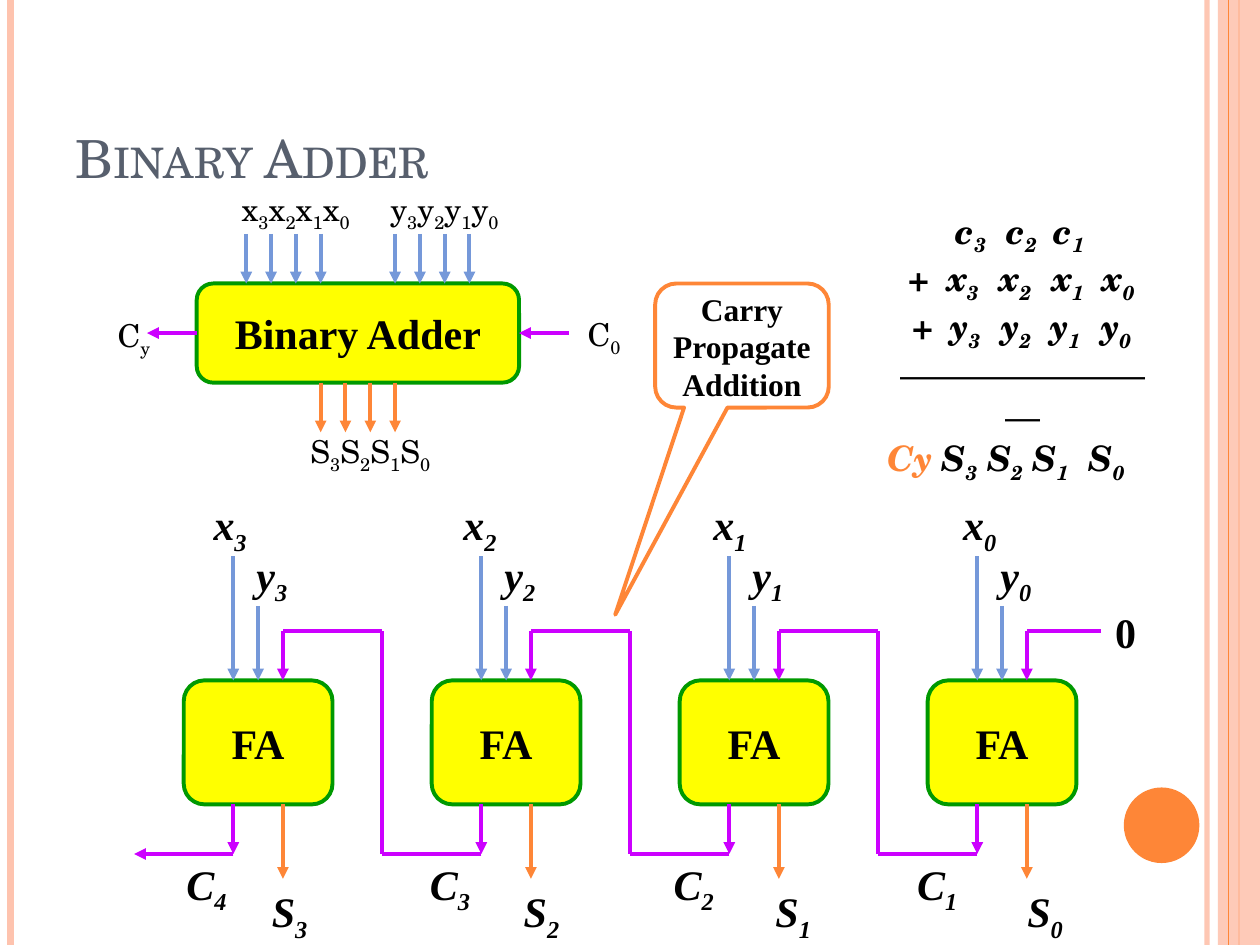
import pptx
import pptx.dml.color
import pptx.enum.shapes
import pptx.enum.text
import pptx.oxml
import pptx.oxml.ns
import pptx.util

SHAPES = pptx.enum.shapes.MSO_SHAPE
ALIGN = pptx.enum.text.PP_ALIGN
ANCHOR = pptx.enum.text.MSO_ANCHOR
Pt = pptx.util.Pt

STEP = 14.17
BLACK, YELLOW, GREEN = "000000", "FFFF00", "009900"
BLUE, PURPLE, ORANGE, PINK = "7598D9", "CC00FF", "FE8637", "FEC3AE"
SERIF, SCHOOL = "Times New Roman", "TeX Gyre Schola"

BOX_FONT = {"name": SERIF, "size": Pt(24), "bold": True}
LABEL_FONT = {**BOX_FONT, "italic": True}
CALLOUT_FONT = {**BOX_FONT, "size": Pt(18)}
PORT_FONT = {"name": SCHOOL, "size": Pt(18)}
SUM_FONT = {"name": SCHOOL, "size": Pt(20), "bold": True, "italic": True}
TITLE_FONT = {"name": SCHOOL, "size": Pt(30)}


def rgb(value):
    """Turn a hex string into a colour."""
    return pptx.dml.color.RGBColor.from_string(value)


def apply_format(target, values):
    """Set every attribute named in the dict."""
    for name, value in values.items():
        setattr(target, name, value)


def append_xml(parent, tag, **attributes):
    """Append a drawing element with attributes and return it."""
    element = pptx.oxml.parse_xml(f"<a:{tag} {pptx.oxml.ns.nsdecls('a')}/>")
    for name, value in attributes.items():
        element.set(name, str(value))
    parent.append(element)
    return element


def set_opacity(shape, percent):
    """Make the colours of a shape partly transparent."""
    for colour in shape._element.spPr.iter(pptx.oxml.ns.qn("a:srgbClr")):
        append_xml(colour, "alpha", val=percent * 1000)


def add_runs(paragraph, text, font, colour=BLACK):
    """Add text in which an underscore lowers the next character."""
    first, *rest = text.split("_")
    pieces = [(first, 0)]
    for part in rest:
        pieces += [(part[0], -25000), (part[1:], 0)]
    for piece, baseline in pieces:
        if piece:
            run = paragraph.add_run()
            run.text = piece
            apply_format(run.font, font)
            run.font.color.rgb = rgb(colour)
            if baseline:
                run._r.get_or_add_rPr().set("baseline", str(baseline))


def prepare_frame(shape, anchor=ANCHOR.TOP):
    """Remove the insets of a shape's text and turn on wrapping."""
    frame = shape.text_frame
    margins = dict.fromkeys(["margin_left", "margin_top", "margin_right", "margin_bottom"], 0)
    apply_format(frame, {"word_wrap": True, "vertical_anchor": anchor, **margins})
    return frame


def add_label(slide, text, center, top, width, font):
    """Add a centred line of text around a horizontal position."""
    box = slide.shapes.add_textbox(Pt(center - width / 2), Pt(top), Pt(width), Pt(font["size"].pt * 1.2))
    paragraph = prepare_frame(box).paragraphs[0]
    paragraph.alignment = ALIGN.CENTER
    add_runs(paragraph, text, font)


def add_box(slide, kind, frame, fill=None, line=None, text="", font=None, anchor=ANCHOR.MIDDLE):
    """Add a preset shape, with centred text if there is any."""
    shape = slide.shapes.add_shape(kind, *map(Pt, frame))
    shape.shadow.inherit = False
    if fill:
        shape.fill.solid()
        shape.fill.fore_color.rgb = rgb(fill)
    else:
        shape.fill.background()
    if line:
        shape.line.color.rgb = rgb(line)
        shape.line.width = Pt(2.25)
    else:
        shape.line.fill.background()
    if text:
        paragraph = prepare_frame(shape, anchor).paragraphs[0]
        paragraph.alignment = ALIGN.CENTER
        add_runs(paragraph, text, font)
    return shape


def add_line(slide, start, end, colour, width=2.25, arrow=False):
    """Add a straight line, with an arrowhead at its end if asked."""
    line = slide.shapes.add_connector(pptx.enum.shapes.MSO_CONNECTOR.STRAIGHT, *map(Pt, (*start, *end)))
    line.line.color.rgb = rgb(colour)
    line.line.width = Pt(width)
    if arrow:
        append_xml(line.line._get_or_add_ln(), "tailEnd", type="triangle")
    append_xml(line._element.spPr, "effectLst")
    return line


def add_arrow(slide, start, end, colour):
    """Add a line with an arrowhead."""
    return add_line(slide, start, end, colour, arrow=True)


def add_frame(slide):
    """Add the side stripes, the disc and the title."""
    set_opacity(add_line(slide, (689.8, 0), (689.8, 540), PINK, 3), 93)
    add_line(slide, (6, 0), (6, 540), PINK, 4.5)
    add_line(slide, (708, 0), (708, 540), ORANGE, 1.5)
    set_opacity(add_box(slide, SHAPES.RECTANGLE, (696, 0, 24, 540), PINK), 87)
    add_line(slide, (702, 0), (702, 540), ORANGE, 0.75)
    add_box(slide, SHAPES.OVAL, (642.2, 450, 43.2, 43.2), ORANGE)
    title = slide.shapes.add_textbox(Pt(36), Pt(21.6), Pt(606), Pt(90))
    apply_format(title.text_frame, {"word_wrap": True, "vertical_anchor": ANCHOR.BOTTOM})
    paragraph = title.text_frame.paragraphs[0]
    add_runs(paragraph, "Binary Adder", TITLE_FONT, "575F6D")
    paragraph.runs[0]._r.get_or_add_rPr().set("cap", "small")


def add_block_adder(slide):
    """Add the four-bit adder block with its ports."""
    left, top, width, height = 112.4, 162, 13 * STEP, 4 * STEP
    right, middle, bottom = left + width, top + height / 2, top + height
    block = add_box(slide, SHAPES.ROUNDED_RECTANGLE, (left, top, width, height), YELLOW, GREEN, "Binary Adder", BOX_FONT)
    for port in (2, 3, 4, 5, 8, 9, 10, 11):
        x = left + port * STEP
        add_arrow(slide, (x, top - 2 * STEP), (x, top), BLUE)
    for port in (5, 6, 7, 8):
        x = left + port * STEP
        add_arrow(slide, (x, bottom), (x, bottom + 2 * STEP), ORANGE)
    add_arrow(slide, (right + 2 * STEP, middle), (right, middle), PURPLE).end_connect(block, 3)
    add_arrow(slide, (left, middle), (left - 2 * STEP, middle), PURPLE).begin_connect(block, 1)
    add_label(slide, "x_3x_2x_1x_0", 169, 108.7, 80, PORT_FONT)
    add_label(slide, "y_3y_2y_1y_0", 254, 108.7, 80, PORT_FONT)
    add_label(slide, "S_3S_2S_1S_0", 211.6, 247, 85, PORT_FONT)
    add_label(slide, "C_0", 345.2, 180, 28, PORT_FONT)
    add_label(slide, "C_y", 76.6, 180.7, 28, PORT_FONT)


def add_full_adder(slide, left, last):
    """Add one full adder with its arrows and its outgoing carry."""
    top, size = 388.8, (6 * STEP, 5 * STEP)
    bottom, carry_top, carry_bottom = top + size[1], top - 2 * STEP, top + 7 * STEP
    first, center, third = (left + count * STEP for count in (2, 3, 4))
    turn, target = left - 2 * STEP, left - 6 * STEP
    adder = add_box(slide, SHAPES.ROUNDED_RECTANGLE, (left, top, *size), YELLOW, GREEN, "FA", BOX_FONT)
    add_arrow(slide, (third, carry_top), (third, top), PURPLE)
    add_arrow(slide, (center, top - 3 * STEP), (center, top), BLUE).end_connect(adder, 0)
    add_arrow(slide, (first, top - 5 * STEP), (first, top), BLUE)
    add_arrow(slide, (third, bottom), (third, bottom + 3 * STEP), ORANGE)
    add_arrow(slide, (first, bottom), (first, carry_bottom), PURPLE)
    add_line(slide, (first, carry_bottom), (turn, carry_bottom), PURPLE, arrow=last)
    if not last:
        add_line(slide, (turn, carry_bottom), (turn, carry_top), PURPLE)
        add_line(slide, (turn, carry_top), (target, carry_top), PURPLE)


def add_ripple_adder(slide):
    """Add the chain of four full adders with its labels."""
    lefts = [105 + 10 * STEP * column for column in range(4)]
    for left in lefts:
        add_full_adder(slide, left, left == lefts[0])
    add_line(slide, (lefts[3] + 7 * STEP, 360.5), (lefts[3] + 4 * STEP, 360.5), PURPLE)
    add_label(slide, "0", 643.3, 346.3, 28, BOX_FONT)
    rows = [("x", 3, 131.5, 142.8, 285.1), ("y", 3, 155.4, 141.7, 313.9),
            ("S", 3, 165.5, 143.9, 506.2), ("C", 4, 118, 139.2, 490.3)]
    for letter, highest, center, pitch, top in rows:
        for column in range(4):
            add_label(slide, f"{letter}_{highest - column}", center + pitch * column, top, 36, LABEL_FONT)


def add_tabbed_row(paragraph, stops):
    """Give a paragraph left-aligned tab stops."""
    stop_list = append_xml(paragraph._p.get_or_add_pPr(), "tabLst")
    for stop in stops:
        append_xml(stop_list, "tab", pos=int(Pt(stop)), algn="l")


def add_column_sum(slide):
    """Add the written addition with carries, operands and result."""
    box = slide.shapes.add_textbox(Pt(475.2), Pt(119.5), Pt(182.4), Pt(121))
    frame = prepare_frame(box)
    rows = [("\tc_3\tc_2\tc_1", (71, 100, 127)),
            ("\t+\tx_3\tx_2\tx_1\tx_0", (44, 66, 96, 126, 155)),
            ("\t+\ty_3\ty_2\ty_1\ty_0", (46, 68, 97, 125, 154)),
            ("────────", ()),
            ("\tS_3\tS_2\tS_1\tS_0", (32, 63, 89, 115, 147))]
    for index, (text, stops) in enumerate(rows):
        paragraph = frame.add_paragraph() if index else frame.paragraphs[0]
        if stops:
            add_tabbed_row(paragraph, stops)
        else:
            paragraph.alignment = ALIGN.CENTER
            paragraph._p.get_or_add_pPr().set("marL", str(int(Pt(36))))
        if index == len(rows) - 1:
            add_runs(paragraph, "\tCy", SUM_FONT, ORANGE)
        add_runs(paragraph, text, SUM_FONT)


def add_callout(slide):
    """Add the callout that points at the carry chain."""
    callout = add_box(slide, SHAPES.ROUNDED_RECTANGULAR_CALLOUT, (374.4, 162, 99.2, 70.9), None, ORANGE,
                      "Carry Propagate Addition", CALLOUT_FONT, ANCHOR.TOP)
    for index, value in enumerate((-0.73, 2.17, 0.17)):
        callout.adjustments[index] = value


def main():
    """Build the slide and save it."""
    presentation = pptx.Presentation()
    apply_format(presentation, {"slide_width": Pt(720), "slide_height": Pt(540)})
    slide = presentation.slides.add_slide(presentation.slide_layouts[6])
    for add_part in (add_frame, add_column_sum, add_ripple_adder, add_block_adder, add_callout):
        add_part(slide)
    presentation.save("out.pptx")


if __name__ == "__main__":
    main()
